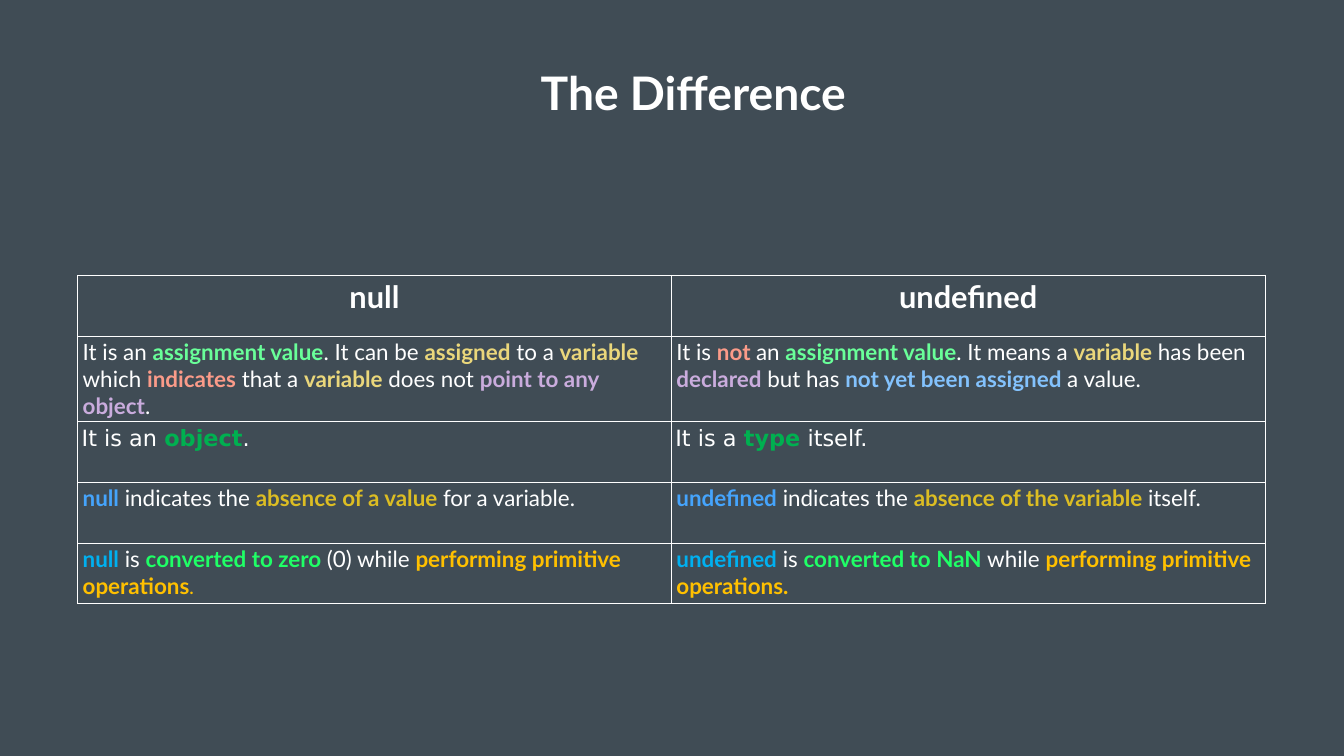
from lxml.etree import SubElement
from pptx import Presentation
from pptx.dml.color import RGBColor
from pptx.enum.text import MSO_ANCHOR, PP_ALIGN
from pptx.oxml.ns import qn
from pptx.util import Pt

WHITE, SLATE = "FFFFFF", "404C55"
MINT, SAND, CORAL, LILAC, SKY = "69FF99", "EAD77B", "FB9B89", "CAACDD", "83C2FD"
LEAF, BLUE, GOLD = "00B050", "45A4FC", "DCBD23"
CYAN, LIME, AMBER = "00B0F0", "1FFF66", "FFC000"

TITLE = "The Difference"
HEADS = ["null", "undefined"]
BODY = [
    [
        [("It is an ",), ("assignment value", MINT), (". It can be ",),
         ("assigned", SAND), (" to a ",), ("variable", SAND), (" which ",),
         ("indicates", CORAL), (" that a ",), ("variable", SAND),
         (" does not ",), ("point to any object", LILAC), (".",)],
        [("It is ",), ("not ", CORAL), ("an ",), ("assignment value", MINT),
         (". It means a ",), ("variable", SAND), (" has been ",),
         ("declared", LILAC), (" but has ",),
         ("not yet been assigned ", SKY), ("a value.",)],
    ],
    [
        [("It is an ",), ("object", LEAF), (".",)],
        [("It is a ",), ("type", LEAF), (" itself.",)],
    ],
    [
        [("null", BLUE), (" indicates the ",), ("absence of a value ", GOLD),
         ("for a variable.",)],
        [("undefined", BLUE), (" indicates the ",),
         ("absence of the variable ", GOLD), ("itself.",)],
    ],
    [
        [("null", CYAN), (" is ",), ("converted to zero ", LIME),
         ("(0) while ",), ("performing primitive operations", AMBER),
         (".", AMBER, 24)],
        [("undefined", CYAN), (" is ",), ("converted to NaN ", LIME),
         ("while ",), ("performing primitive operations.", AMBER)],
    ],
]
FONTS = ["Lato", "DejaVu Sans", "Lato", "Lato"]
LEFT, TOP, COL, ROW, PAD = 110.9, 393.1, 848.2, 86.7, 5.8


def color(code):
    return RGBColor.from_string(code)


def add_run(para, text, code=WHITE, size=32, face="Lato", bold=True):
    run = para.add_run()
    run.text = text
    font = run.font
    font.name, font.size, font.bold = face, Pt(size), bold
    font.color.rgb = color(code)


def set_pad(box):
    box.margin_left = box.margin_right = Pt(PAD)
    box.margin_top = box.margin_bottom = Pt(PAD)


def set_lines(cell):
    props = cell._tc.get_or_add_tcPr()
    for i, side in enumerate(("lnL", "lnR", "lnT", "lnB")):
        line = SubElement(props, qn("a:" + side), w=str(Pt(1)))
        props.insert(i, line)
        fill = SubElement(line, qn("a:solidFill"))
        SubElement(fill, qn("a:srgbClr"), val=WHITE)


def add_title(slide):
    box = slide.shapes.add_textbox(Pt(LEFT), Pt(86.4), Pt(1759), Pt(91.4))
    frame = box.text_frame
    frame.word_wrap = True
    frame.vertical_anchor = MSO_ANCHOR.MIDDLE
    set_pad(frame)
    para = frame.paragraphs[0]
    para.alignment = PP_ALIGN.CENTER
    add_run(para, TITLE, size=66)


def add_grid(slide):
    rows, cols = len(BODY) + 1, len(HEADS)
    table = slide.shapes.add_table(
        rows, cols, Pt(LEFT), Pt(TOP), Pt(COL * cols), Pt(ROW * rows)).table
    table.horz_banding = table.first_row = False
    for col in table.columns:
        col.width = Pt(COL)
    for row in table.rows:
        row.height = Pt(ROW)
    for cell in table.iter_cells():
        cell.fill.background()
        set_lines(cell)
    for c, head in enumerate(HEADS):
        para = table.cell(0, c).text_frame.paragraphs[0]
        para.alignment = PP_ALIGN.CENTER
        add_run(para, head, size=44)
    for r, (face, line) in enumerate(zip(FONTS, BODY), 1):
        for c, runs in enumerate(line):
            cell = table.cell(r, c)
            if face != "Lato":
                set_pad(cell)
            for run in runs:
                add_run(cell.text_frame.paragraphs[0], *run,
                        face=face, bold=len(run) > 1)


def main():
    deck = Presentation()
    deck.slide_width, deck.slide_height = Pt(1920), Pt(1080)
    slide = deck.slides.add_slide(deck.slide_layouts[6])
    back = slide.background.fill
    back.solid()
    back.fore_color.rgb = color(SLATE)
    add_title(slide)
    add_grid(slide)
    deck.save("out.pptx")


if __name__ == "__main__":
    main()
